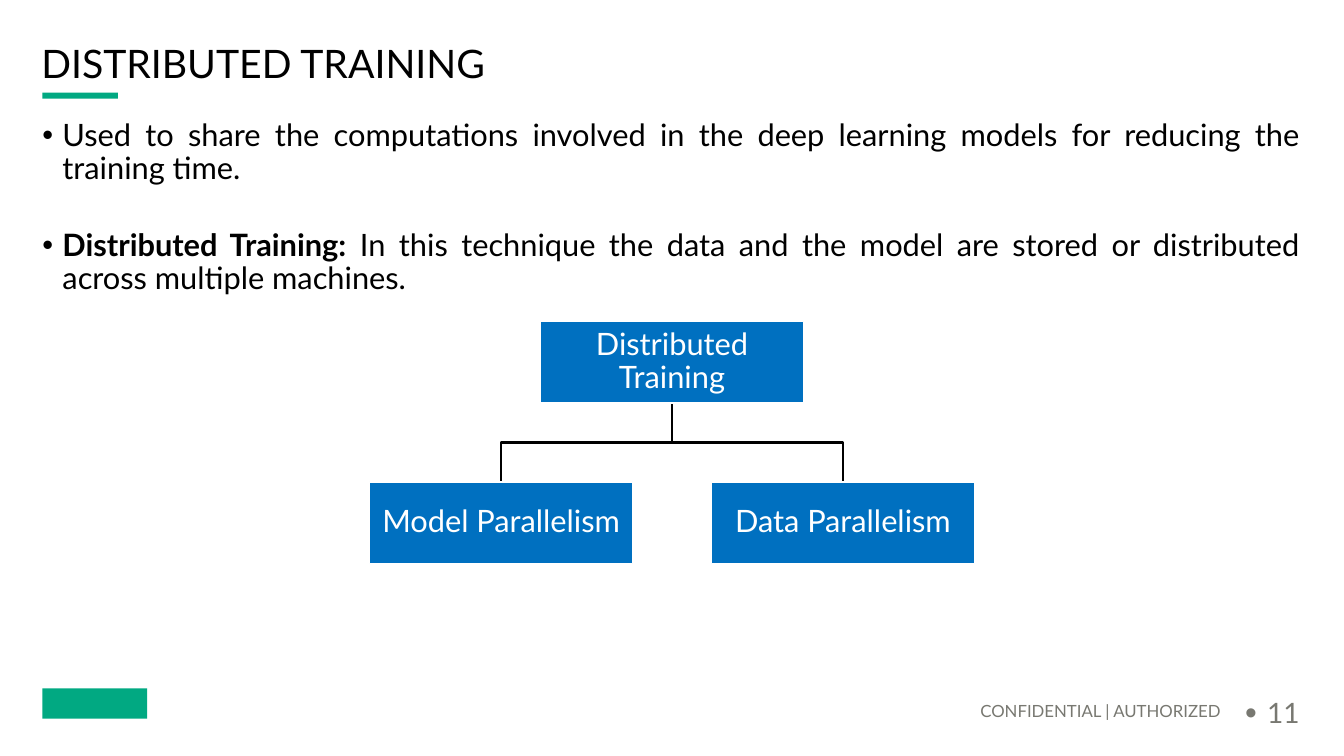
from lxml import etree
from pptx import Presentation
from pptx.dml.color import RGBColor
from pptx.enum import shapes, text
from pptx.oxml.ns import qn
from pptx.util import Inches, Pt

# Content
TITLE = "DISTRIBUTED TRAINING"
BULLETS = [  # (bold lead, rest, points before)
    ("", "Used to share the computations involved in the deep learning models "
         "for reducing the training time.", 0),
    ("Distributed Training:", " In this technique the data and the model are "
     "stored or distributed across multiple machines.", 31),
]
ROOT = "Distributed Training"
CHILDREN = ["Model Parallelism", "Data Parallelism"]
FOOTER = "CONFIDENTIAL | AUTHORIZED"
PAGE_NUMBER = "11"

# Style and grid, in inches
FONT = "Lato"
GREEN = RGBColor(0x01, 0xA9, 0x82)
BLUE = RGBColor(0x00, 0x70, 0xC0)
GREY = RGBColor(0x78, 0x78, 0x71)
BLACK = RGBColor(0, 0, 0)
WHITE = RGBColor(255, 255, 255)
WIDTH, HEIGHT = 13.33, 7.5
MARGIN = 0.42
NODE_WIDTH, NODE_HEIGHT = 2.61, 0.81
COLUMN_STEP, ROW_STEP = 3.39, 1.59
TREE_CENTER, TREE_TOP = WIDTH / 2, 3.19

deck = Presentation()
deck.slide_width, deck.slide_height = Inches(WIDTH), Inches(HEIGHT)
page = deck.slides.add_slide(deck.slide_layouts[5])


def set_frame(shape, anchor, insets):
    frame = shape.text_frame
    frame.word_wrap = True
    frame.auto_size = text.MSO_AUTO_SIZE.NONE
    frame.vertical_anchor = anchor
    (frame.margin_left, frame.margin_top,
     frame.margin_right, frame.margin_bottom) = map(Inches, insets)
    return frame


def add_text_box(area, anchor, insets):
    return set_frame(page.shapes.add_textbox(*map(Inches, area)), anchor, insets)


def style(para, size, color, align):
    para.alignment = align
    para.line_spacing = 0.9
    para.font.name, para.font.size = FONT, Pt(size)
    para.font.color.rgb = color


def add_bullet(para, indent, percent=100):
    properties = para._p.get_or_add_pPr()
    properties.set("marL", str(Inches(indent)))
    properties.set("indent", str(-Inches(indent)))
    etree.SubElement(properties, qn("a:buSzPct"), val=str(percent * 1000))
    etree.SubElement(properties, qn("a:buFont"), typeface="Arial")
    etree.SubElement(properties, qn("a:buChar"), char="•")


def add_block(area, fill, line=None):
    block = page.shapes.add_shape(shapes.MSO_SHAPE.RECTANGLE, *map(Inches, area))
    block.shadow.inherit = False
    block.fill.solid()
    block.fill.fore_color.rgb = fill
    if line is None:
        block.line.fill.background()
    else:
        block.line.color.rgb = line
        block.line.width = Pt(1)
    return block


def add_node(label, center, top):
    node = add_block((center - NODE_WIDTH / 2, top, NODE_WIDTH, NODE_HEIGHT),
                     BLUE, WHITE)
    frame = set_frame(node, text.MSO_ANCHOR.MIDDLE, [0.02] * 4)
    frame.text = label
    style(frame.paragraphs[0], 22, WHITE, text.PP_ALIGN.CENTER)


def add_branch(center, top, bottom):
    middle = (top + bottom) / 2
    builder = page.shapes.build_freeform(Inches(TREE_CENTER), Inches(top))
    corners = [(TREE_CENTER, middle), (center, middle), (center, bottom)]
    builder.add_line_segments([(Inches(x), Inches(y)) for x, y in corners],
                              close=False)
    branch = builder.convert_to_shape()
    branch.shadow.inherit = False
    branch.fill.background()
    branch.line.color.rgb = BLACK
    branch.line.width = Pt(1.5)


# Title and its accent
title = page.shapes.title
title.left, title.top, title.width, title.height = map(
    Inches, (0.31, 0.43, 12.57, 0.44))
frame = set_frame(title, text.MSO_ANCHOR.MIDDLE, [0.1] * 4)
frame.text = TITLE
style(frame.paragraphs[0], 28, BLACK, text.PP_ALIGN.LEFT)
add_block((MARGIN, 0.92, 0.75, 0.06), GREEN)

# Bulleted text
frame = add_text_box((MARGIN, 1.09, 12.47, 2), text.MSO_ANCHOR.TOP,
                     (0, 0.1, 0, 0.1))
for index, (lead, rest, before) in enumerate(BULLETS):
    para = frame.add_paragraph() if index else frame.paragraphs[0]
    add_bullet(para, 0.2)
    style(para, 22, BLACK, text.PP_ALIGN.JUSTIFY)
    para.space_before = Pt(before)
    if lead:
        span = para.add_run()
        span.text = lead
        span.font.bold = True
    para.add_run().text = rest

# Tree: branches first, then nodes
child_top = TREE_TOP + ROW_STEP
centers = [TREE_CENTER + (index - (len(CHILDREN) - 1) / 2) * COLUMN_STEP
           for index in range(len(CHILDREN))]
for center in centers:
    add_branch(center, TREE_TOP + NODE_HEIGHT, child_top)
add_node(ROOT, TREE_CENTER, TREE_TOP)
for label, center in zip(CHILDREN, centers):
    add_node(label, center, child_top)

# Footer: plain block, notice and page number
add_block((MARGIN, 6.83, 1.04, 0.3), GREEN)
frame = add_text_box((4.07, 6.7, 8.18, 0.45), text.MSO_ANCHOR.BOTTOM,
                     (0.1, 0, 0.14, 0))
frame.text = FOOTER
style(frame.paragraphs[0], 12, GREY, text.PP_ALIGN.RIGHT)
frame = add_text_box((12.25, 6.89, 0.75, 0.4), text.MSO_ANCHOR.MIDDLE,
                     (0.1, 0.05, 0.1, 0.05))
frame.text = PAGE_NUMBER
add_bullet(frame.paragraphs[0], 0.22, 120)
style(frame.paragraphs[0], 20, GREY, text.PP_ALIGN.LEFT)

deck.save("out.pptx")
